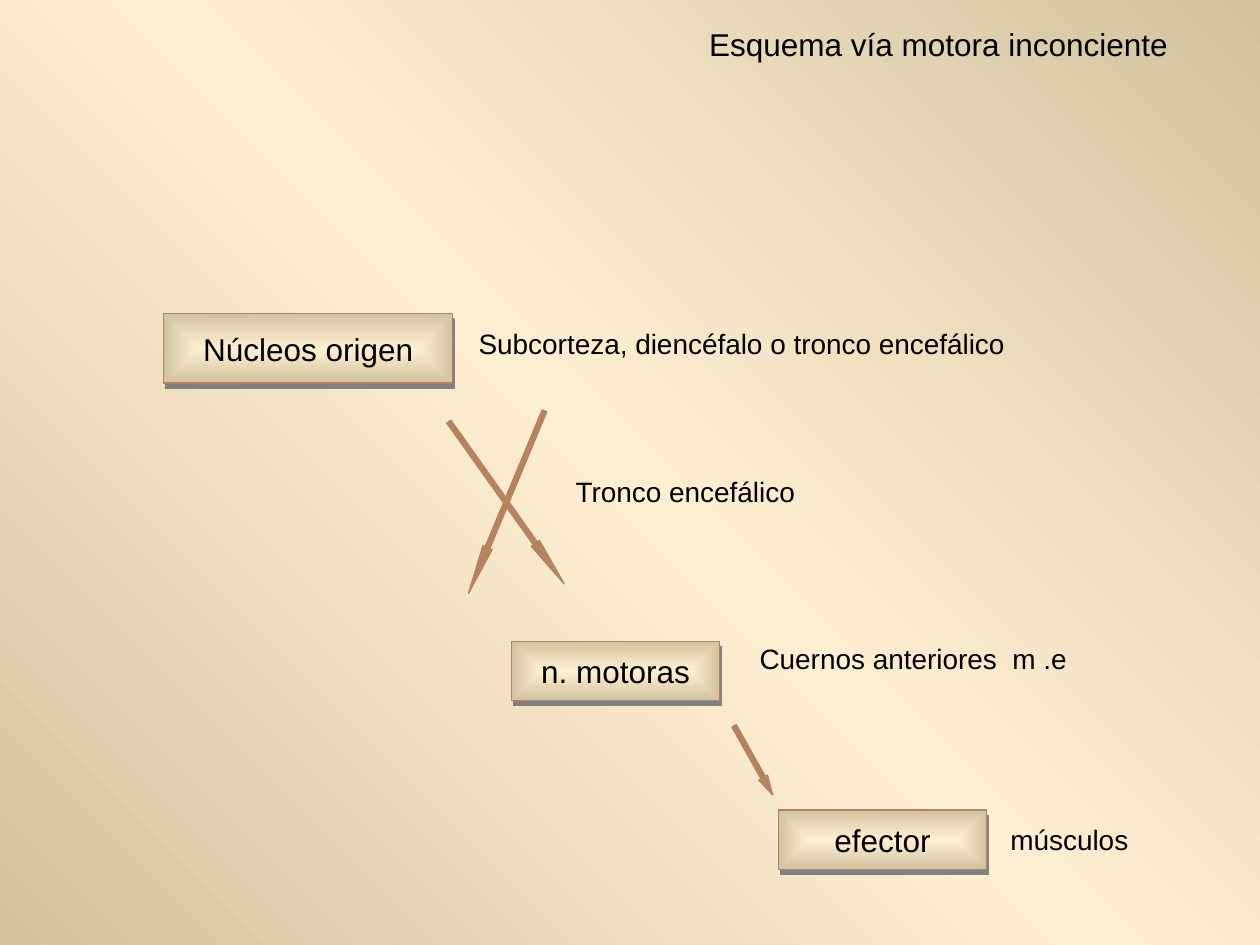
import pptx
import pptx.util
import pptx.oxml
import pptx.oxml.ns
import pptx.dml.color
import pptx.enum.shapes
import pptx.enum.text

Inches, Pt = pptx.util.Inches, pptx.util.Pt
KIND = pptx.enum.shapes.MSO_SHAPE
ALIGN = pptx.enum.text.PP_ALIGN
ANCHOR = pptx.enum.text.MSO_ANCHOR

COLORS = {"sand": "D1C39F", "cream": "FFEFD1", "brown": "B68360",
          "gray": "808080", "black": "000000"}

# Content: text, left, top, width, height
BOXES = [
    ("Núcleos origen", 1.3, 2.49, 2.29, 0.55),
    ("n. motoras", 4.06, 5.09, 1.65, 0.47),
    ("efector", 6.18, 6.43, 1.65, 0.47),
]
# Text, left, top, width, height, size
LABELS = [
    ("Esquema vía motora inconciente", 5.53, 0.15, 4.03, 0.4, 18),
    ("Subcorteza, diencéfalo o tronco encefálico", 3.7, 2.54, 4.59, 0.37, 16),
    ("Tronco encefálico", 4.47, 3.72, 2.03, 0.37, 16),
    ("Cuernos anteriores  m .e", 5.93, 5.04, 2.76, 0.37, 16),
    ("músculos", 7.92, 6.48, 1.19, 0.37, 16),
]
# Left, top, length, rotation, head ratio
ARROWS = [
    (3.98, 3.2, 1.58, 324.6, 4.93),
    (3.98, 3.2, 1.57, 22.6, 4.93),
    (5.94, 5.72, 0.63, 330.8, 1.97),
]
THICK = 0.08

NS = pptx.oxml.ns.nsdecls("a", "p")
CENTER = '<a:path path="rect"><a:fillToRect l="50000" t="50000" r="50000" b="50000"/></a:path>'


def color(name):
    return pptx.dml.color.RGBColor.from_string(COLORS[name])


def grad(stops, shade):
    marks = "".join(
        f'<a:gs pos="{pos * 1000}"><a:srgbClr val="{COLORS[name]}"/></a:gs>'
        for pos, name in stops)
    return (f'<a:gradFill {NS} rotWithShape="1"><a:gsLst>{marks}</a:gsLst>'
            f'{shade}</a:gradFill>')


def outline(shape):
    shape.line.color.rgb = color("brown")
    shape.line.width = Pt(0.75)


def write(shape, text, size, align, anchor):
    frame = shape.text_frame
    form = {"word_wrap": False, "vertical_anchor": anchor,
            "margin_left": Inches(0.1), "margin_right": Inches(0.1),
            "margin_top": Inches(0.05), "margin_bottom": Inches(0.05)}
    for key, value in form.items():
        setattr(frame, key, value)
    para = frame.paragraphs[0]
    para.alignment = align
    run = para.add_run()
    run.text = text
    for key, value in {"name": "Arial", "size": Pt(size)}.items():
        setattr(run.font, key, value)
    run.font.color.rgb = color("black")


def add_box(slide, text, *place):
    box = slide.shapes.add_shape(KIND.RECTANGLE, *map(Inches, place))
    outline(box)
    # Gradient toward the centre, then a hard shadow
    props = box._element.spPr
    fill = grad([(0, "cream"), (100, "sand")], CENTER)
    props.find(pptx.oxml.ns.qn("a:prstGeom")).addnext(pptx.oxml.parse_xml(fill))
    props.append(pptx.oxml.parse_xml(
        f'<a:effectLst {NS}><a:outerShdw dist="{Pt(3.2)}" dir="{72 * 60000}" '
        f'algn="ctr" rotWithShape="0"><a:srgbClr val="{COLORS["gray"]}"/>'
        '</a:outerShdw></a:effectLst>'))
    write(box, text, 18, ALIGN.CENTER, ANCHOR.MIDDLE)


def add_arrow(slide, left, top, length, turn, head):
    place = map(Inches, (left, top, THICK, length))
    arrow = slide.shapes.add_shape(KIND.DOWN_ARROW, *place)
    arrow.adjustments[0], arrow.adjustments[1] = 0.5, head
    arrow.rotation = turn
    arrow.shadow.inherit = False
    arrow.fill.solid()
    arrow.fill.fore_color.rgb = color("brown")
    outline(arrow)


def main():
    deck = pptx.Presentation()
    deck.slide_width, deck.slide_height = Inches(10), Inches(7.5)
    slide = deck.slides.add_slide(deck.slide_layouts[6])

    # Diagonal background
    back = grad([(0, "sand"), (50, "cream"), (100, "sand")],
                f'<a:lin ang="{135 * 60000}" scaled="0"/>')
    slide._element.cSld.insert(0, pptx.oxml.parse_xml(
        f'<p:bg {NS}><p:bgPr>{back}<a:effectLst/></p:bgPr></p:bg>'))

    for box in BOXES:
        add_box(slide, *box)
    for arrow in ARROWS:
        add_arrow(slide, *arrow)
    for text, *place, size in LABELS:
        label = slide.shapes.add_textbox(*map(Inches, place))
        write(label, text, size, ALIGN.LEFT, ANCHOR.TOP)

    deck.save("out.pptx")


if __name__ == "__main__":
    main()
